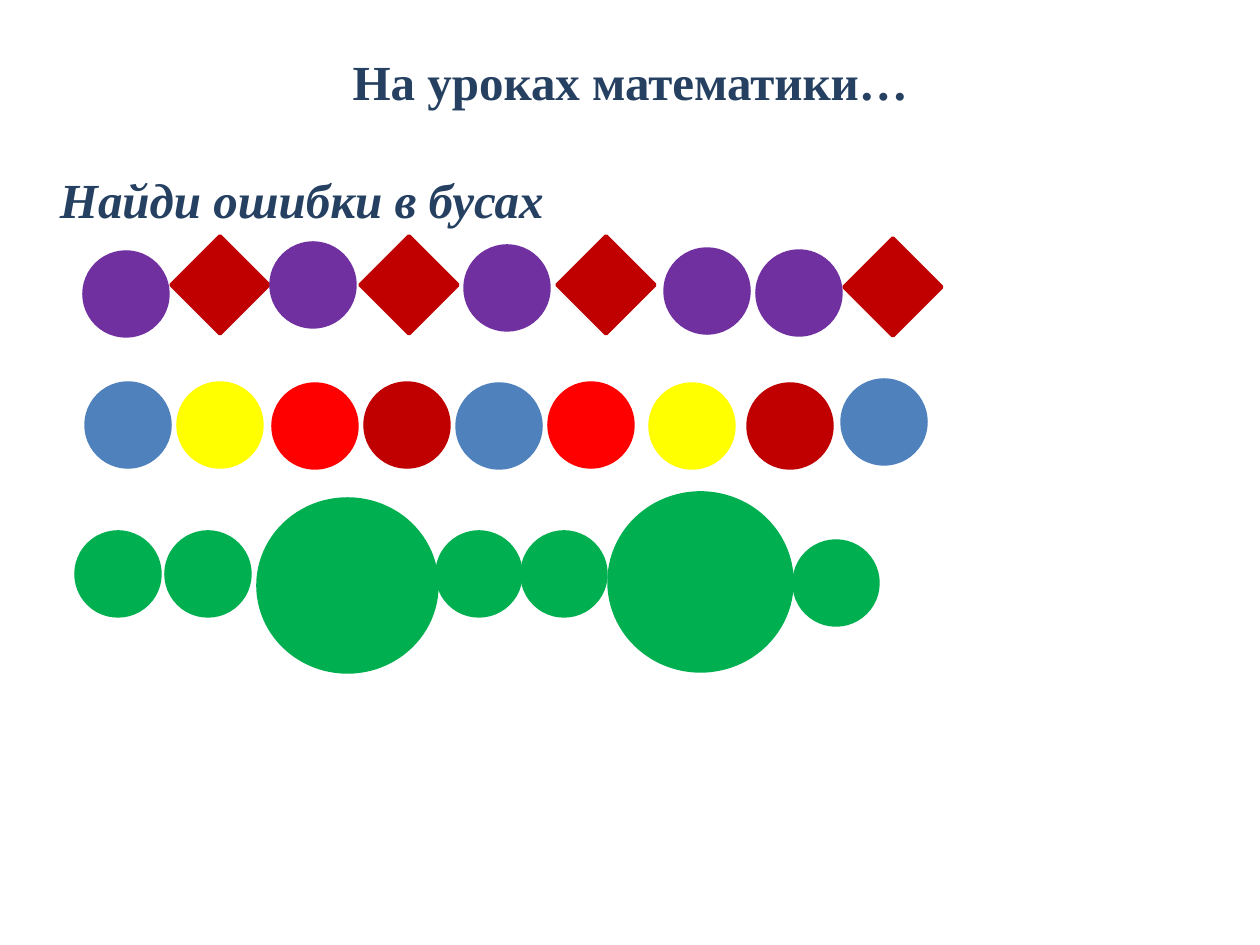
from pptx import Presentation
from pptx.dml.color import RGBColor
from pptx.enum.shapes import MSO_SHAPE
from pptx.enum.text import MSO_ANCHOR, PP_ALIGN
from pptx.util import Pt

PX = 914400 / 126  # EMU per px

OVAL, DIAMOND = MSO_SHAPE.OVAL, MSO_SHAPE.DIAMOND
TOP, MIDDLE = MSO_ANCHOR.TOP, MSO_ANCHOR.MIDDLE
LEFT, CENTER = PP_ALIGN.LEFT, PP_ALIGN.CENTER

NAVY = RGBColor(0x25, 0x40, 0x61)
PURPLE = RGBColor(0x70, 0x30, 0xA0)
DARK_RED = RGBColor(0xC0, 0x00, 0x00)
RED = RGBColor(0xFF, 0x00, 0x00)
YELLOW = RGBColor(0xFF, 0xFF, 0x00)
BLUE = RGBColor(0x4F, 0x81, 0xBD)
GREEN = RGBColor(0x00, 0xB0, 0x50)

HEADING = {"name": "Times New Roman", "size": Pt(28), "bold": True}

# Kinds of bead: shape, colour, width, height
BALL = 84
VIOLET_BALL = (OVAL, PURPLE, BALL, BALL)
RHOMB = (DIAMOND, DARK_RED, 98, 98)
BLUE_BALL, YELLOW_BALL, RED_BALL, DARK_BALL, GREEN_BALL = (
    (OVAL, color, BALL, BALL)
    for color in (BLUE, YELLOW, RED, DARK_RED, GREEN))

# Beads of each string: kind, x and y within the row
VIOLET_ROW = [
    (VIOLET_BALL, 0, 16), (RHOMB, 87, 0), (VIOLET_BALL, 187, 7),
    (RHOMB, 276, 0), (VIOLET_BALL, 381, 10), (RHOMB, 473, 0),
    (VIOLET_BALL, 581, 13), (VIOLET_BALL, 673, 15), (RHOMB, 760, 2),
]
COLOUR_ROW = [
    (BLUE_BALL, 0, 3), (YELLOW_BALL, 92, 3), (RED_BALL, 187, 4),
    (DARK_BALL, 279, 3), (BLUE_BALL, 371, 4), (RED_BALL, 463, 3),
    (YELLOW_BALL, 564, 4), (DARK_BALL, 662, 4), (BLUE_BALL, 756, 0),
]
GREEN_ROW = [
    (GREEN_BALL, 0, 39), (GREEN_BALL, 90, 39),
    ((OVAL, GREEN, 179, 173), 182, 6),
    (GREEN_BALL, 361, 39), (GREEN_BALL, 446, 39),
    ((OVAL, GREEN, 183, 178), 533, 0), (GREEN_BALL, 718, 48),
]


def px(*lengths):
    return [round(n * PX) for n in lengths]


def add_text(s, box, text, align, anchor, margins=(13, 6), italic=False):
    tf = s.shapes.add_textbox(*px(*box)).text_frame
    tf.word_wrap = True
    tf.vertical_anchor = anchor
    tf.margin_left, tf.margin_top = px(*margins)
    p = tf.paragraphs[0]
    p.alignment = align
    r = p.add_run()
    r.text = text
    for name, value in HEADING.items():
        setattr(r.font, name, value)
    r.font.italic = italic
    r.font.color.rgb = NAVY


def add_beads(s, left, top, beads):
    for (shape, color, width, height), x, y in beads:
        sp = s.shapes.add_shape(shape, *px(left + x, top + y, width, height))
        sp.shadow.inherit = False
        sp.fill.solid()
        sp.fill.fore_color.rgb = color
        sp.line.color.rgb = color
        sp.line.width = Pt(2)


def main():
    prs = Presentation()
    prs.slide_width, prs.slide_height = px(1260, 945)
    s = prs.slides.add_slide(prs.slide_layouts[6])

    # Title and task
    add_text(s, (63, 38, 1134, 87), "На уроках математики…", CENTER, MIDDLE)
    add_text(s, (34, 150, 1201, 764), "Найди ошибки в бусах", LEFT, TOP,
             margins=(26, 19), italic=True)

    # Three strings of beads
    add_beads(s, 84, 236, VIOLET_ROW)
    add_beads(s, 86, 380, COLOUR_ROW)
    add_beads(s, 76, 493, GREEN_ROW)

    prs.save("out.pptx")


if __name__ == "__main__":
    main()
